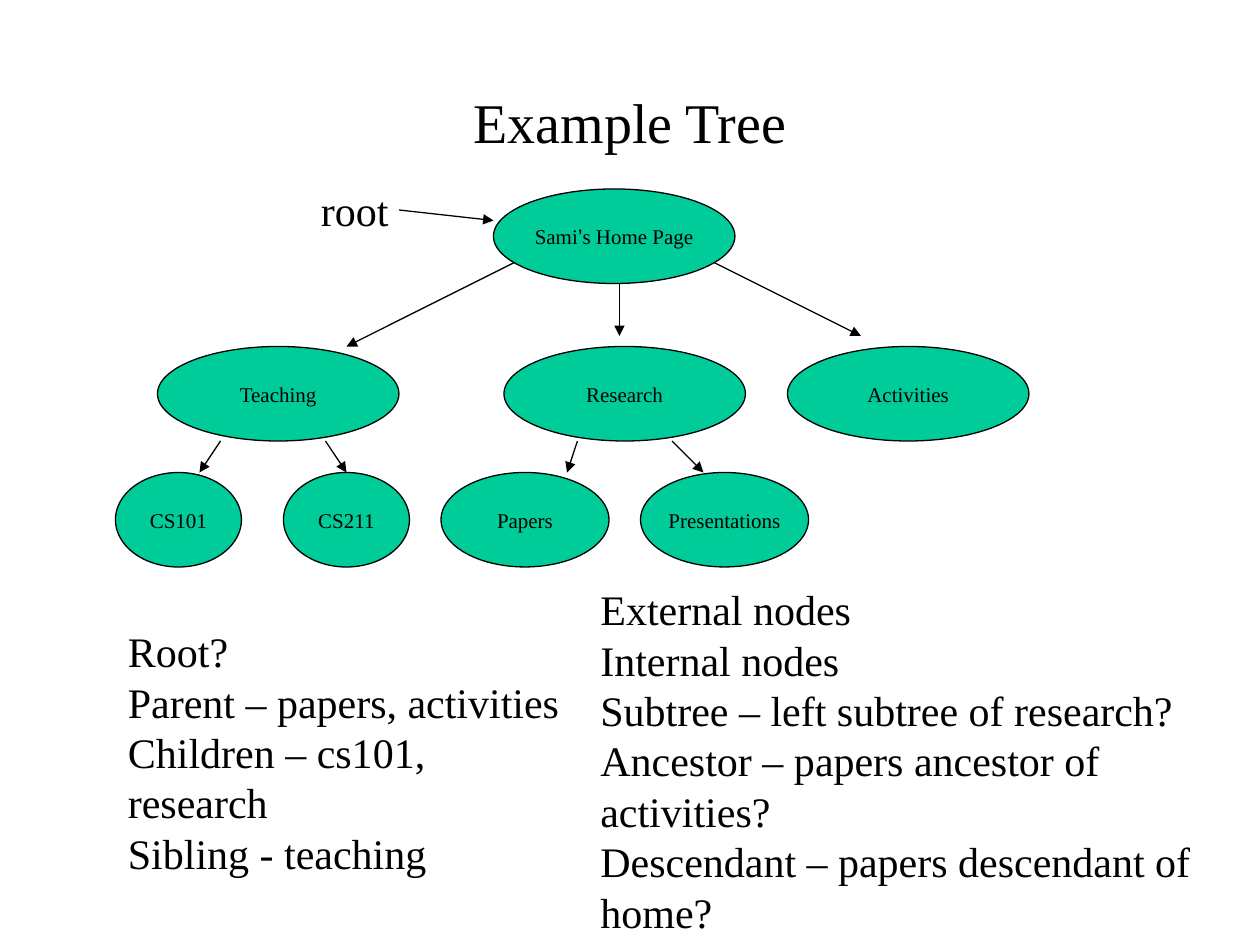
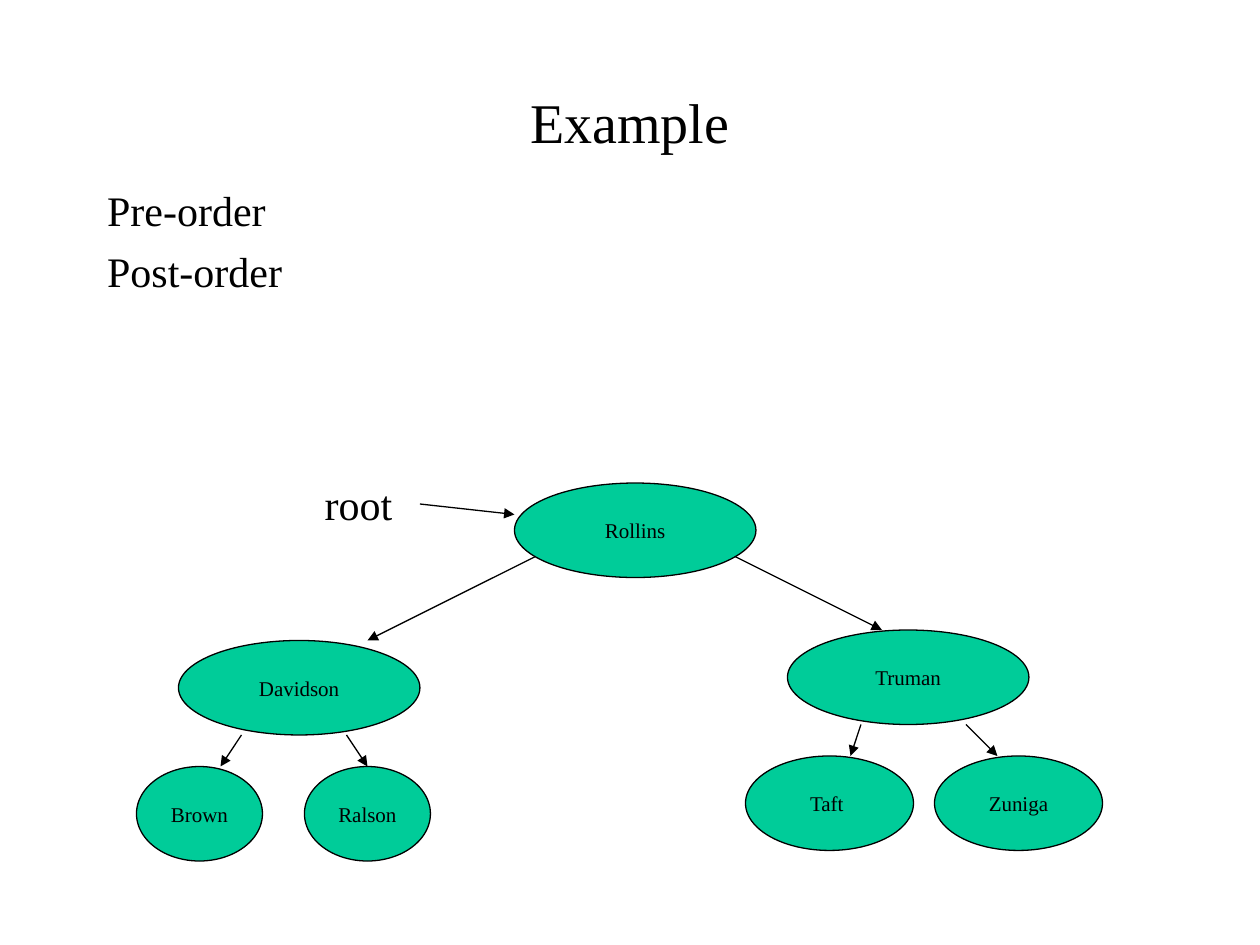
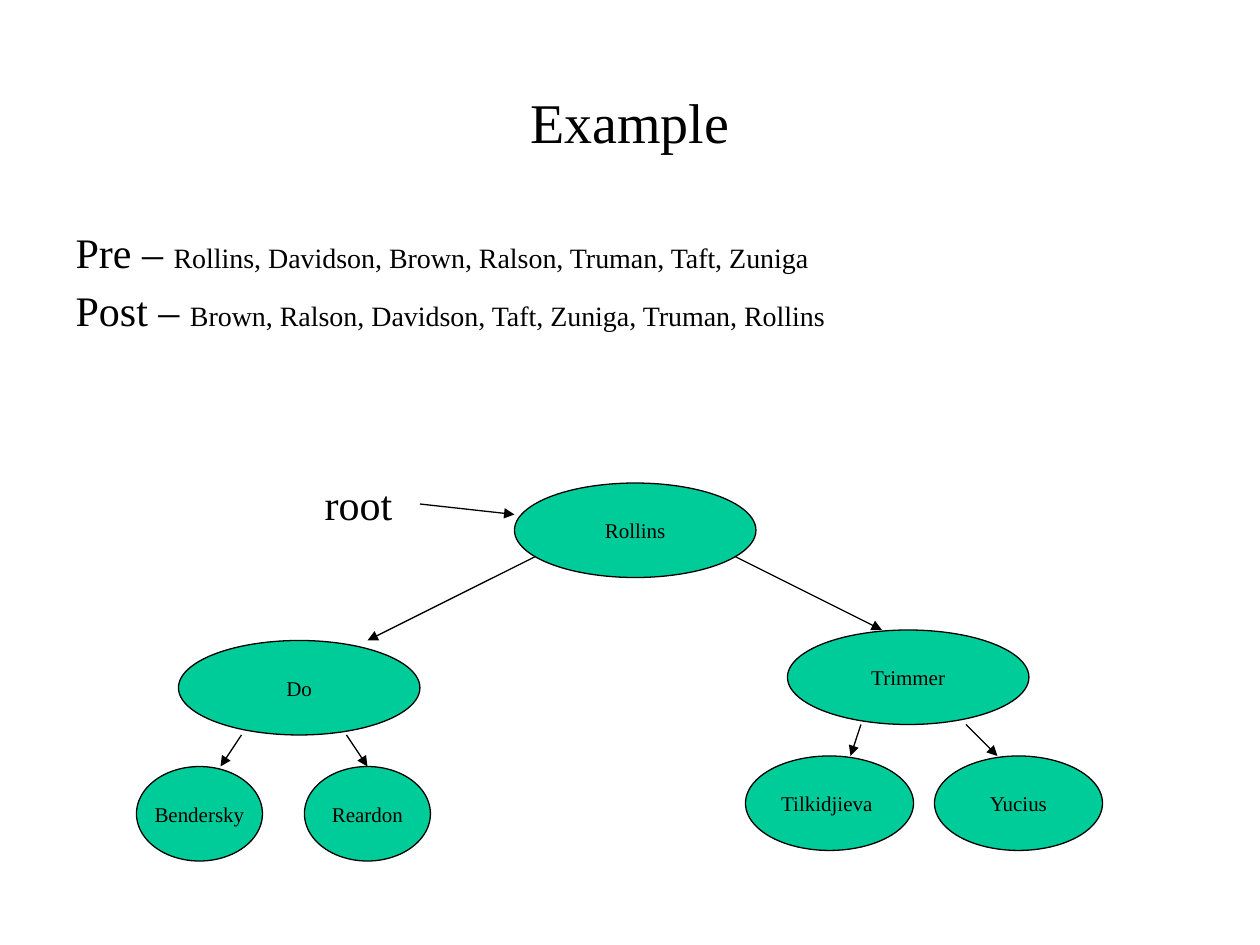
from typing import NamedTuple

from lxml.etree import SubElement as Sub
from pptx import Presentation
from pptx.dml.color import RGBColor as Rgb
from pptx.enum.shapes import MSO_CONNECTOR as Link, MSO_SHAPE as Kind
from pptx.enum.text import MSO_ANCHOR as Anchor, MSO_AUTO_SIZE as Fit, PP_ALIGN as Align
from pptx.oxml.ns import qn
from pptx.util import Emu, Pt

PX = 9525  # 96 px to the inch


class Theme(NamedTuple):
    ink: Rgb = Rgb(0, 0, 0)
    node: Rgb = Rgb(0x00, 0xCC, 0x99)
    paper: Rgb = Rgb(255, 255, 255)
    face: str = "Times New Roman"
    mark: str = "Arial"
    title: int = 32
    text: int = 24
    names: int = 16
    label: int = 12
    lead: float = 28.8
    line: float = 0.75


class Box(NamedTuple):
    x: int
    y: int
    w: int
    h: int


class Bit(NamedTuple):
    """A run, with a size or face where it differs from its paragraph."""
    text: str
    size: int | None = None
    face: str | None = None


class Edge(NamedTuple):
    x1: int
    y1: int
    x2: int
    y2: int


class Node(NamedTuple):
    x: int
    y: int
    w: int
    line: tuple[Bit, ...]


class Tree(NamedTuple):
    root: Box
    nodes: list[Node]
    edges: list[Edge]


THEME = Theme()
WIDE, MID, SLIM, HIGH = 184, 128, 96, 72
TITLE = Box(72, 64, 816, 56)


def emu(*sides: int) -> list[Emu]:
    return [Emu(side * PX) for side in sides]


def plain(*texts: str) -> list[tuple[Bit, ...]]:
    return [(Bit(text),) for text in texts]


def place(shape, box: Box) -> None:
    shape.left, shape.top, shape.width, shape.height = emu(*box)


def write(frame, lines: list[tuple[Bit, ...]], size: int, align=Align.LEFT,
          gap: int = 0, lead: float | None = None, hang: int = 0) -> None:
    """Fill a frame with paragraphs; hang is the hanging indent of a list."""
    frame.auto_size = Fit.NONE
    for i, line in enumerate(lines):
        par = frame.add_paragraph() if i else frame.paragraphs[0]
        par.alignment = align
        par.space_before = Pt(gap if i else 0)
        if lead:
            par.line_spacing = Pt(lead)
        if hang:
            props = par._p.get_or_add_pPr()
            props.set("marL", str(hang * PX))
            props.set("indent", str(-hang * PX))
            Sub(props, qn("a:buNone"))
        font = par.font
        font.name, font.size, font.color.rgb = THEME.face, Pt(size), THEME.ink
        for bit in line:
            run = par.add_run()
            run.text = bit.text
            if bit.size:
                run.font.size = Pt(bit.size)
            if bit.face:
                run.font.name = bit.face


def start(deck, layout: int, title: str):
    slide = deck.slides.add_slide(deck.slide_layouts[layout])
    fill = slide.background.fill
    fill.solid()
    fill.fore_color.rgb = THEME.paper
    head = slide.shapes.title
    place(head, TITLE)
    head.text_frame.vertical_anchor = Anchor.MIDDLE
    write(head.text_frame, plain(title), THEME.title, Align.CENTER)
    return slide


def fill_body(slide, box: Box, lines: list[tuple[Bit, ...]], gap: int) -> None:
    body = slide.placeholders[1]
    place(body, box)
    body.text_frame.vertical_anchor = Anchor.TOP
    write(body.text_frame, lines, THEME.text, gap=gap, lead=THEME.lead, hang=36)


def add_note(slide, box: Box, lines: list[tuple[Bit, ...]], wrap: bool = True) -> None:
    frame = slide.shapes.add_textbox(*emu(*box)).text_frame
    frame.word_wrap = wrap
    write(frame, lines, THEME.text, lead=THEME.lead)


def add_node(slide, node: Node) -> None:
    oval = slide.shapes.add_shape(Kind.OVAL, *emu(node.x, node.y, node.w, HIGH))
    oval.shadow.inherit = False
    oval.fill.solid()
    oval.fill.fore_color.rgb = THEME.node
    oval.line.color.rgb = THEME.ink
    oval.line.width = Pt(THEME.line)
    frame = oval.text_frame
    frame.word_wrap = False
    frame.vertical_anchor = Anchor.MIDDLE
    write(frame, [node.line], THEME.label, Align.CENTER)


def add_edge(slide, edge: Edge) -> None:
    arrow = slide.shapes.add_connector(Link.STRAIGHT, *emu(*edge))
    arrow.line.color.rgb = THEME.ink
    arrow.line.width = Pt(THEME.line)
    props = arrow._element.spPr
    Sub(props.find(qn("a:ln")), qn("a:tailEnd"), type="triangle")
    Sub(props, qn("a:effectLst"))


def draw(slide, tree: Tree) -> None:
    for node in tree.nodes:
        add_node(slide, node)
    for edge in tree.edges:
        add_edge(slide, edge)
    add_note(slide, tree.root, plain("root"), wrap=False)


def home_tree() -> Tree:
    home = (Bit("Sami"), Bit("’", face=THEME.mark), Bit("s Home Page"))
    spots = [(120, 264, WIDE), (384, 264, WIDE), (600, 264, WIDE),
             (88, 360, SLIM), (216, 360, SLIM), (336, 360, MID), (488, 360, MID)]
    lines = plain("Teaching", "Research", "Activities",
                  "CS101", "CS211", "Papers", "Presentations")
    nodes = [Node(376, 144, WIDE, home)]
    nodes += [Node(*spot, line) for spot, line in zip(spots, lines)]
    edges = [Edge(304, 160, 376, 168), Edge(392, 200, 264, 264),
             Edge(472, 216, 472, 256), Edge(544, 200, 656, 256),
             Edge(168, 336, 152, 360), Edge(248, 336, 264, 360),
             Edge(440, 336, 432, 360), Edge(512, 336, 536, 360)]
    return Tree(Box(235, 136, 70, 48), nodes, edges)


def name_tree(*names: str) -> Tree:
    """Binary tree of seven names, given level by level."""
    spots = [(392, 368, WIDE), (136, 488, WIDE), (600, 480, WIDE),
             (104, 584, SLIM), (232, 584, SLIM), (568, 576, MID), (712, 576, MID)]
    nodes = [Node(*spot, line) for spot, line in zip(spots, plain(*names))]
    edges = [Edge(320, 384, 392, 392), Edge(408, 424, 280, 488),
             Edge(560, 424, 672, 480), Edge(184, 560, 168, 584),
             Edge(264, 560, 280, 584), Edge(656, 552, 648, 576),
             Edge(736, 552, 760, 576)]
    return Tree(Box(238, 360, 70, 48), nodes, edges)


def main() -> None:
    deck = Presentation()
    deck.slide_width, deck.slide_height = emu(960, 720)

    slide = start(deck, 5, "Example Tree")
    draw(slide, home_tree())
    add_note(slide, Box(88, 472, 352, 202), plain(
        "Root?", "Parent – papers, activities", "Children – cs101, research",
        "Sibling - teaching"))
    add_note(slide, Box(448, 440, 512, 317), plain(
        "External nodes", "Internal nodes", "Subtree – left subtree of research?",
        "Ancestor – papers ancestor of activities?",
        "Descendant – papers descendant of home?"))

    slide = start(deck, 1, "Example")
    fill_body(slide, Box(72, 136, 816, 504), plain("Pre-order", "Post-order"), 6)
    draw(slide, name_tree("Rollins", "Davidson", "Truman",
                          "Brown", "Ralson", "Taft ", "Zuniga"))

    slide = start(deck, 1, "Example")
    orders = [("Pre – ", "Rollins, Davidson, Brown, Ralson, Truman, Taft, Zuniga"),
              ("Post – ", "Brown, Ralson, Davidson, Taft, Zuniga, Truman, Rollins")]
    fill_body(slide, Box(48, 168, 888, 475),
              [(Bit(kind), Bit(names, THEME.names)) for kind, names in orders], 4)
    draw(slide, name_tree("Rollins", "Do", "Trimmer",
                          "Bendersky", "Reardon", "Tilkidjieva ", "Yucius"))

    deck.save("out.pptx")


if __name__ == "__main__":
    main()
